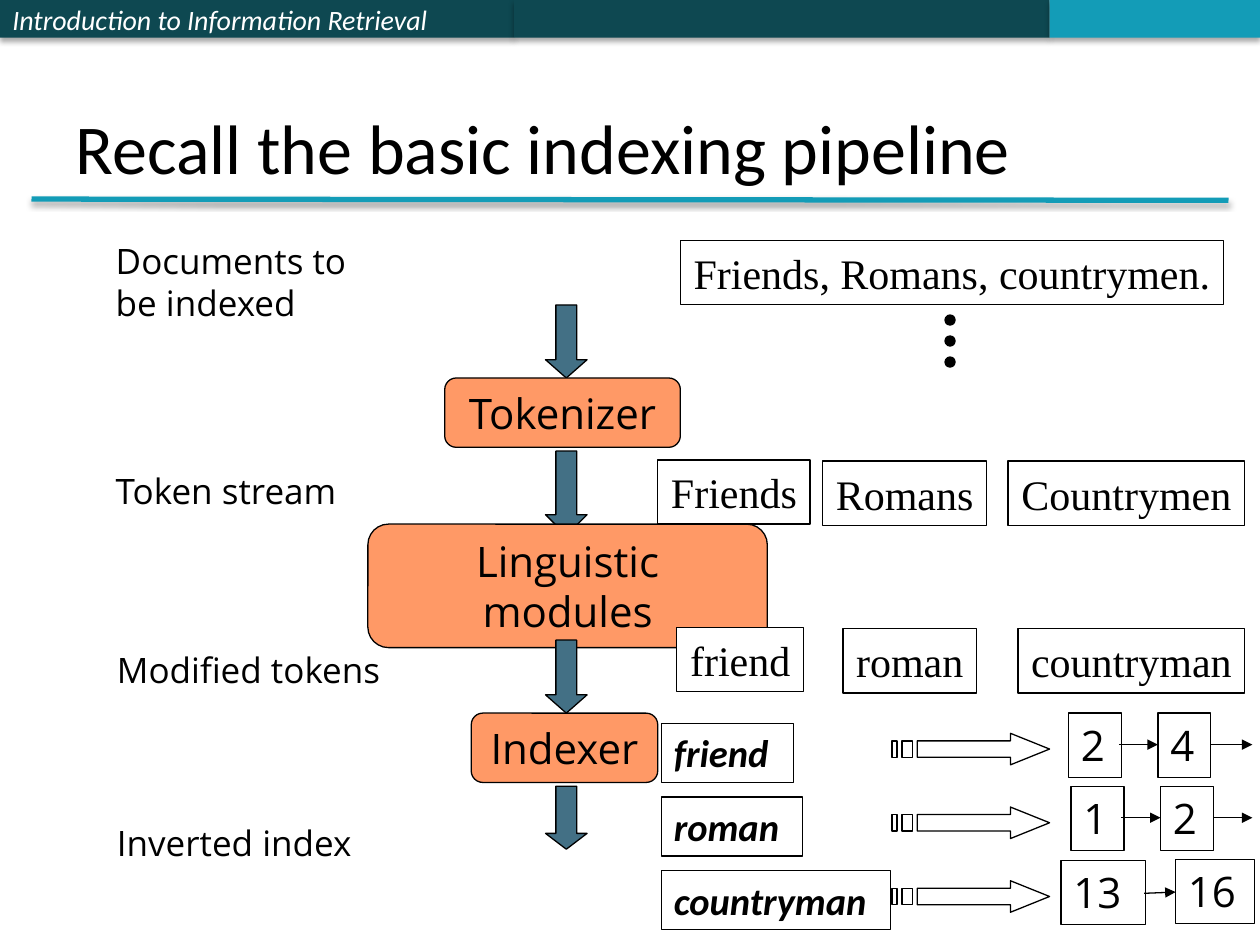
from lxml import etree
from pptx import Presentation, util as u
from pptx.dml.color import RGBColor
from pptx.enum import shapes, text
from pptx.oxml.ns import qn

Inches = u.Inches
KIND = shapes.MSO_SHAPE
ANCHOR = text.MSO_ANCHOR
LEFT, MID = text.PP_ALIGN.LEFT, text.PP_ALIGN.CENTER
SANS, SERIF, HEAD = "Open Sans", "Times New Roman", "Calibri"


def box(kind, at, fill=None, edge="000000", words="", size=24, face=SANS,
        color="000000", bold=False, slant=False, side=MID, wrap=False, grow=True):
    item = slide.shapes.add_shape(kind, *map(Inches, at))
    item.shadow.inherit = False
    if fill:
        item.fill.solid()
        item.fill.fore_color.rgb = RGBColor.from_string(fill)
    else:
        item.fill.background()
    if edge:
        item.line.color.rgb = RGBColor.from_string(edge)
        item.line.width = u.Pt(0.75)
    else:
        item.line.fill.background()
    if words:
        frame = item.text_frame
        frame.text = words
        frame.word_wrap = wrap
        if grow:
            frame.auto_size = text.MSO_AUTO_SIZE.SHAPE_TO_FIT_TEXT
        frame.vertical_anchor = ANCHOR.TOP if side == LEFT and grow else ANCHOR.MIDDLE
        for para in frame.paragraphs:
            para.alignment = side
            font = para.font
            font.name, font.size = face, u.Pt(size)
            font.bold, font.italic = bold, slant
            font.color.rgb = RGBColor.from_string(color)
    return item


def link(start, end, color="000000", width=0.75, head=True):
    wire = slide.shapes.add_connector(
        shapes.MSO_CONNECTOR.STRAIGHT, *map(Inches, start + end))
    wire.line.color.rgb = RGBColor.from_string(color)
    wire.line.width = u.Pt(width)
    if head:
        etree.SubElement(wire.line._get_or_add_ln(), qn("a:tailEnd"), type="triangle")
    etree.SubElement(wire._element.spPr, qn("a:effectLst"))
    return wire


deck = Presentation()
deck.slide_width, deck.slide_height = Inches(10), Inches(7.5)
slide = deck.slides.add_slide(deck.slide_layouts[5])

title = slide.shapes.title
title.left, title.top, title.width, title.height = map(Inches, (0.5, 0.3, 9, 1.25))
title.text_frame.text = "Recall the basic indexing pipeline"
title.text_frame.vertical_anchor = ANCHOR.BOTTOM
para = title.text_frame.paragraphs[0]
para.alignment = LEFT
para.font.name, para.font.size = HEAD, u.Pt(40)
para.font.color.rgb = RGBColor.from_string("000000")

bars = [
    box(KIND.RECTANGLE, (0, 0, 4.08, 0.3), "0E4851", None,
        "Introduction to Information Retrieval", 16, HEAD, "FFFFFF",
        slant=True, side=LEFT, wrap=True, grow=False),
    box(KIND.RECTANGLE, (4.08, 0, 4.25, 0.3), "0E4851", None),
    box(KIND.RECTANGLE, (8.33, 0, 1.67, 0.3), "139CB7", None),
    link((0.25, 1.58), (9.75, 1.59), "139CB7", 3, False),
]
for bar in bars:
    glow = etree.SubElement(
        bar._element.spPr.find(qn("a:effectLst")), qn("a:outerShdw"),
        blurRad=str(u.Pt(3.1)), dist=str(u.Pt(1.8)), dir="5400000", rotWithShape="0")
    shade = etree.SubElement(glow, qn("a:srgbClr"), val="000000")
    etree.SubElement(shade, qn("a:alpha"), val="35000")

for top, tall, tip in [(2.42, 0.58, 0.44), (3.58, 0.67, 0.5), (6.24, 0.5, 0.38)]:
    arrow = box(KIND.DOWN_ARROW, (4.33, top, 0.33, tall), "437085")
    arrow.adjustments[1] = tip

for words, at, wrap in [
    ("Tokenizer", (3.53, 3, 1.87, 0.55), False),
    ("Linguistic modules", (2.92, 4.16, 3.17, 0.98), True),
    ("Indexer", (3.74, 5.66, 1.48, 0.55), False),
]:
    box(KIND.FLOWCHART_ALTERNATE_PROCESS, at, "FF9966", words=words, wrap=wrap)
arrow = box(KIND.DOWN_ARROW, (4.33, 5.08, 0.33, 0.58), "437085")
arrow.adjustments[1] = 0.44

for words, at in [
    ("Documents to\nbe indexed", (0.82, 1.85, 2.09, 0.77)),
    ("Token stream", (0.82, 3.68, 2.07, 0.44)),
    ("Modified tokens", (0.83, 5.1, 2.46, 0.43)),
    ("Inverted index", (0.83, 6.47, 2.23, 0.43)),
]:
    note = slide.shapes.add_textbox(*map(Inches, at))
    note.text_frame.text = words
    note.text_frame.word_wrap = False
    note.text_frame.auto_size = text.MSO_AUTO_SIZE.SHAPE_TO_FIT_TEXT
    for para in note.text_frame.paragraphs:
        para.font.name, para.font.size = SANS, u.Pt(20)
        para.font.color.rgb = RGBColor.from_string("000000")

for words, left, top, wide in [
    ("Friends, Romans, countrymen.", 5.4, 1.91, 4.31),
    ("Friends", 5.22, 3.65, 1.21),
    ("Romans", 6.53, 3.66, 1.3),
    ("Countrymen", 8, 3.66, 1.88),
    ("friend", 5.37, 4.98, 1.01),
    ("roman", 6.69, 4.99, 1.06),
    ("countryman", 8.08, 4.99, 1.8),
]:
    box(KIND.RECTANGLE, (left, top, wide, 0.51), "FFFFFF", words=words, face=SERIF)

for row in range(3):
    box(KIND.OVAL, (7.5, 2.5 + row / 6, 0.08, 0.08), "000000")

HEADS = [(8.02, 0), (8.02, 0.06), (7.28, 0.06), (7.28, 0.19),
         (8.02, 0.19), (8.02, 0.25), (8.33, 0.125)]
STRIPES = [[(a, 0.06), (a, 0.19), (b, 0.19), (b, 0.06)]
           for a, b in [(7.16, 7.24), (7.08, 7.12)]]
for row, (term, wide) in enumerate([("friend", 1.05), ("roman", 1.12), ("countryman", 1.82)]):
    top = 5.74 + row * 0.585
    box(KIND.RECTANGLE, (5.25, top, wide, 0.47), words=term, size=22, face=HEAD,
        bold=True, slant=True, side=LEFT)
    pen = None
    for path_pts in [HEADS] + STRIPES:
        pts = [(Inches(x), Inches(top + 0.08 + y)) for x, y in path_pts]
        if pen:
            pen.move_to(*pts[0])
        else:
            pen = slide.shapes.build_freeform(*pts[0])
        pen.add_line_segments(pts[1:], close=True)
    arrow = pen.convert_to_shape()
    arrow.shadow.inherit = False
    arrow.fill.background()
    arrow.line.color.rgb = RGBColor.from_string("000000")
    arrow.line.width = u.Pt(0.75)

for words, left, top, wide in [
    ("2", 8.48, 5.66, 0.42), ("4", 9.19, 5.66, 0.42),
    ("1", 8.5, 6.24, 0.42), ("2", 9.21, 6.24, 0.42),
    ("13", 8.42, 6.83, 0.67), ("16", 9.33, 6.82, 0.63),
]:
    box(KIND.RECTANGLE, (left, top, wide, 0.51), words=words, side=LEFT,
        wrap=words == "13")

for start, end in [
    ((8.88, 5.91), (9.19, 5.91)), ((9.61, 5.91), (9.94, 5.91)),
    ((8.9, 6.49), (9.21, 6.49)), ((9.63, 6.49), (9.94, 6.49)),
    ((9.08, 7.09), (9.33, 7.08)),
]:
    link(start, end)

deck.save("out.pptx")
